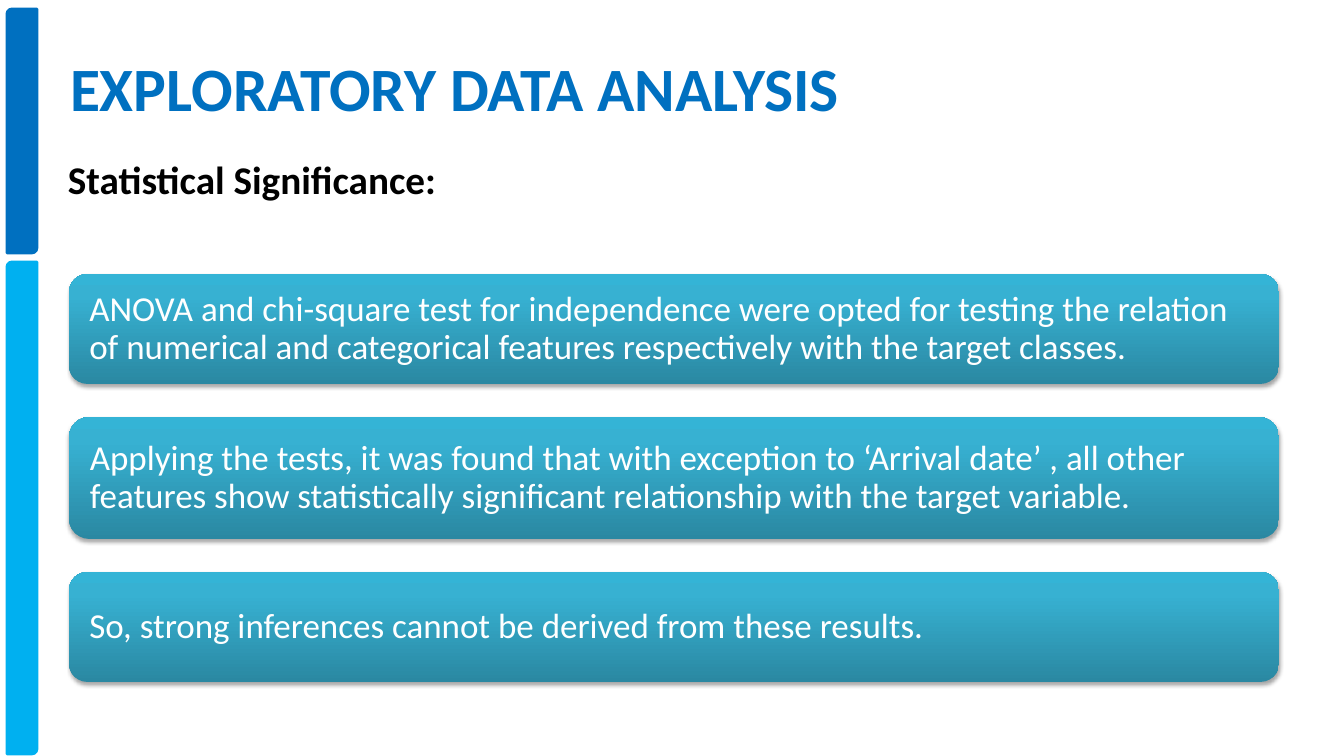
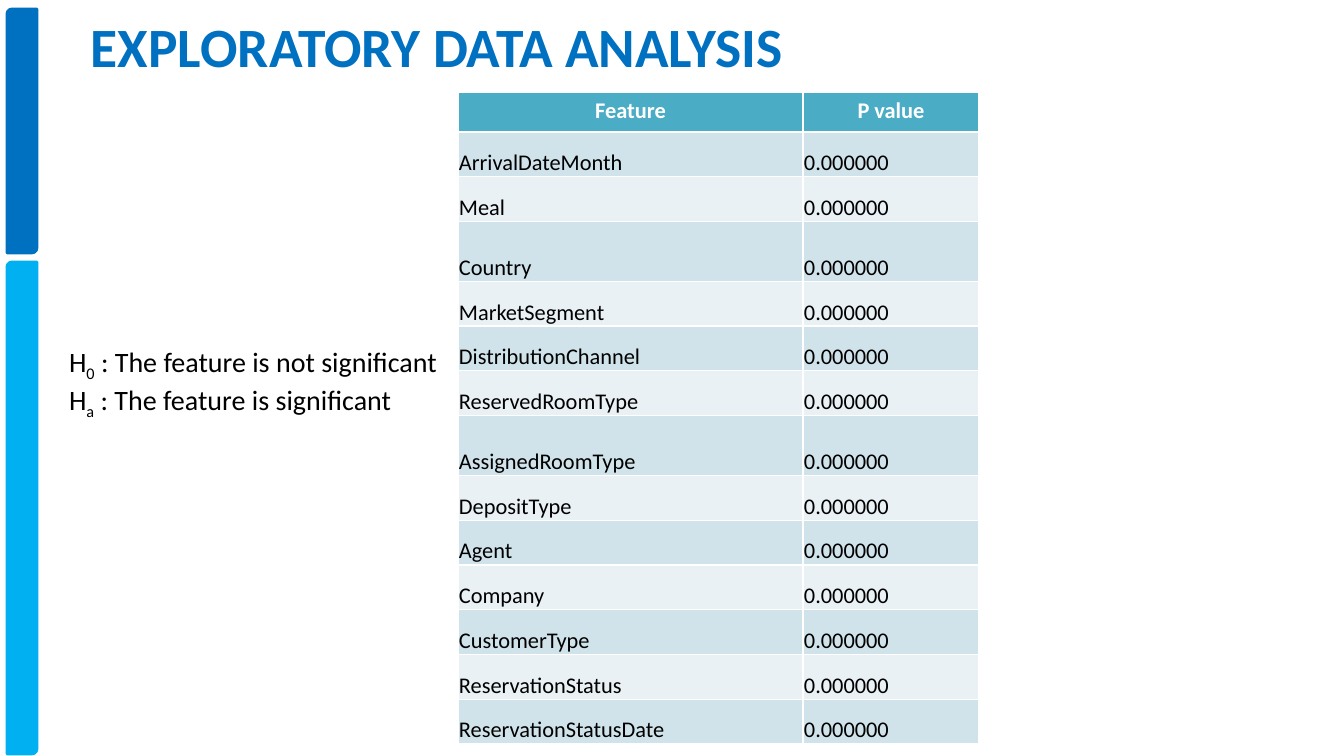
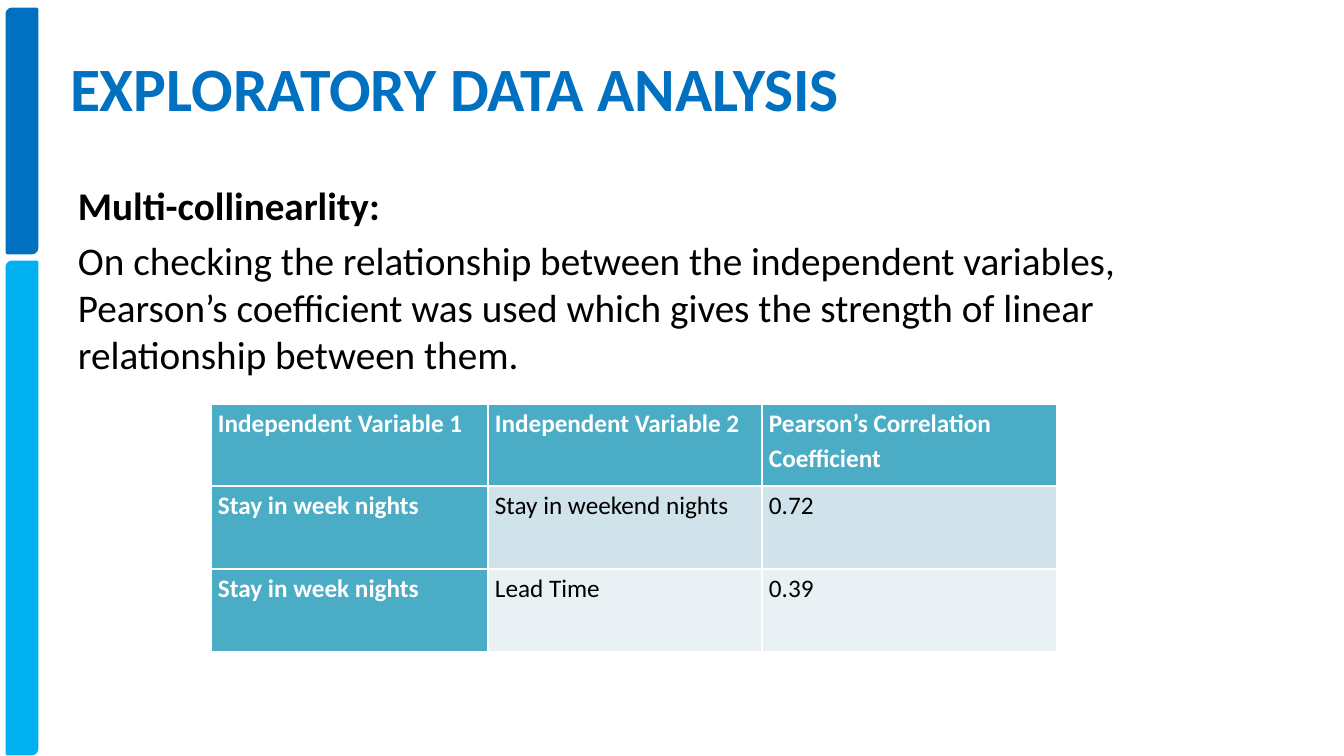
import copy
from pptx import Presentation
from pptx import util as u
from pptx.dml.color import RGBColor
from pptx.enum import shapes, text
from pptx.oxml import parse_xml
from pptx.oxml.ns import nsdecls, qn

COLORS = {
    "blue": "0070C0", "sky": "00B0F0", "black": "000000", "white": "FFFFFF",
    "header": "4BACC6", "band_odd": "D0E3EA", "band_even": "E9F1F5",
    "card_low": "2A88A2", "card_mid": "37B1D2", "card_top": "34B4D6",
}
FONT = "Calibri"
SLIDE_SIZE = (1344, 756)
TITLE = "EXPLORATORY DATA ANALYSIS"
TITLE_BOX = (60, 24, 993, 126)
SIDE_BARS = [((7, 9, 30, 244), "blue"), ((7, 262, 30, 492), "sky")]

SIGNIFICANCE_HEADING = "Statistical Significance:"
CARD_LEFT, CARD_TOP, CARD_WIDTH, CARD_GAP = 69, 274, 1210, 33
CARDS = [
    (110, "ANOVA and chi-square test for independence were opted for testing the relation of "
          "numerical and categorical features respectively with the target classes."),
    (122, "Applying the tests, it was found that with exception to ‘Arrival date’ , all other "
          "features show statistically significant relationship with the target variable."),
    (110, "So, strong inferences cannot be derived from these results."),
]
CARD_GRADIENT = [(0, "card_low"), (0.8, "card_mid"), (1, "card_top")]

HYPOTHESES = [
    ["H", "0", " : The feature is not significant"],
    ["H", "a", " : The feature is significant"],
]
FEATURES = [
    "ArrivalDateMonth", "Meal", "Country", "MarketSegment", "DistributionChannel",
    "ReservedRoomType", "AssignedRoomType", "DepositType", "Agent", "Company",
    "CustomerType", "ReservationStatus", "ReservationStatusDate",
]
TALL_FEATURES = {"Country", "AssignedRoomType"}
FEATURE_ROWS = [("Feature", "P value")] + [(feature, "0.000000") for feature in FEATURES]
FEATURE_TABLE_HEIGHT, FEATURE_HEADER_HEIGHT, TALL_HEIGHT = 652, 40, 60

COLLINEARITY_HEADING = "Multi-collinearlity:"
COLLINEARITY_TEXT = (
    "On checking the relationship between the independent variables, Pearson’s coefficient was "
    "used which gives the strength of linear relationship between them."
)
CORRELATION_ROWS = [
    ("Independent Variable 1", "Independent Variable 2", "Pearson’s Correlation Coefficient"),
    ("Stay in week nights", "Stay in weekend nights", "0.72"),
    ("Stay in week nights", "Lead Time", "0.39"),
]


def px(length):
    return u.Emu(round(length * 914400 / 100.8))


def place(box):
    return [px(length) for length in box]


def rgb(name):
    return RGBColor.from_string(COLORS[name])


def apply(target, values):
    for name, value in values.items():
        setattr(target, name, value)


def margins(left, top, right, bottom):
    sides = ("margin_left", "margin_top", "margin_right", "margin_bottom")
    return dict(zip(sides, place((left, top, right, bottom))))


def add_runs(paragraph, runs, size, color, bold=False, **paragraph_format):
    apply(paragraph, {"alignment": text.PP_ALIGN.LEFT, **paragraph_format})
    for words in runs:
        run = paragraph.add_run()
        run.text = words
        apply(run.font, {"name": FONT, "size": u.Pt(size), "bold": bold})
        run.font.color.rgb = rgb(color)


def add_text_box(slide, box, wrap=True):
    shape = slide.shapes.add_textbox(*place(box))
    apply(shape.text_frame, {"word_wrap": wrap, **margins(10, 5, 10, 5)})
    return shape


def add_title_slide(box=TITLE_BOX, size=44, bottom=5):
    slide = presentation.slides.add_slide(layout)
    title = slide.shapes.title
    apply(title, dict(zip(("left", "top", "width", "height"), place(box))))
    apply(title.text_frame, {
        "word_wrap": True, "auto_size": text.MSO_AUTO_SIZE.NONE,
        "vertical_anchor": text.MSO_ANCHOR.MIDDLE, **margins(10, 5, 10, bottom),
    })
    add_runs(title.text_frame.paragraphs[0], [TITLE], size, "blue", True)
    return slide


def add_side_bars(slide):
    for index, (box, color) in enumerate(SIDE_BARS):
        bar = slide.shapes.add_shape(shapes.MSO_SHAPE.ROUND_2_DIAG_RECTANGLE, *place(box))
        bar.shadow.inherit = False
        bar.fill.solid()
        bar.fill.fore_color.rgb = rgb(color)
        bar.line.color.rgb = rgb(color)
        bar.line.width = u.Pt(2)
        layout.shapes.element.insert(2 + index, bar.element)


def add_card(slide, top, height, words):
    card = slide.shapes.add_shape(
        shapes.MSO_SHAPE.ROUNDED_RECTANGLE, *place((CARD_LEFT, top, CARD_WIDTH, height)))
    card.line.fill.background()
    card.fill.gradient()
    card.fill.gradient_angle = 90
    stop_list = next(card.element.iter(qn("a:gsLst")))
    stop_list.append(copy.deepcopy(stop_list[-1]))
    for stop, (position, color) in zip(card.fill.gradient_stops, CARD_GRADIENT):
        stop.position = position
        stop.color.rgb = rgb(color)
    card.shadow.inherit = False
    next(card.element.iter(qn("a:effectLst"))).append(parse_xml(
        f'<a:outerShdw {nsdecls("a")} blurRad="40000" dist="23000" dir="5400000" rotWithShape="0">'
        f'<a:srgbClr val="{COLORS["black"]}"><a:alpha val="35000"/></a:srgbClr></a:outerShdw>'))
    apply(card.text_frame, {
        "word_wrap": True, "vertical_anchor": text.MSO_ANCHOR.MIDDLE, **margins(15, 15, 15, 15)})
    add_runs(card.text_frame.paragraphs[0], [words], 25, "white", line_spacing=0.9)


def add_grid(slide, left, top, widths, heights, rows, size, header_format, body_format,
             first_column=False, header_paragraph={}, **paragraph_format):
    box = (left, top, sum(widths), sum(heights))
    table = slide.shapes.add_table(len(rows), len(widths), *place(box)).table
    table.first_col = first_column
    for column, width in zip(table.columns, widths):
        column.width = px(width)
    for row, height in zip(table.rows, heights):
        row.height = px(height)
    for i, row in enumerate(rows):
        for j, words in enumerate(row):
            cell = table.cell(i, j)
            is_header = i == 0
            strong = is_header or (first_column and j == 0)
            fill = "header" if strong else ("band_odd" if i % 2 else "band_even")
            cell.fill.solid()
            cell.fill.fore_color.rgb = rgb(fill)
            apply(cell, header_format if is_header else body_format)
            extra = {**paragraph_format, **(header_paragraph if is_header else {})}
            add_runs(cell.text_frame.paragraphs[0], [words], size,
                     "white" if strong else "black", strong, **extra)


presentation = Presentation()
presentation.slide_width, presentation.slide_height = place(SLIDE_SIZE)
layout = presentation.slide_layouts[5]

significance = add_title_slide()
add_side_bars(significance)
heading = add_text_box(significance, (58, 150, 394, 89), wrap=False)
add_runs(heading.text_frame.paragraphs[0], [SIGNIFICANCE_HEADING], 28, "black", True)
card_top = CARD_TOP
for card_height, card_words in CARDS:
    add_card(significance, card_top, card_height, card_words)
    card_top += card_height + CARD_GAP

p_values = add_title_slide((81, 37, 1210, 84), 39.6, bottom=73)
hypotheses = add_text_box(p_values, (59, 339, 1129, 78))
frame = hypotheses.text_frame
for index, runs in enumerate(HYPOTHESES):
    add_runs(frame.add_paragraph() if index else frame.paragraphs[0], runs, 20, "black")
for subscript in list(hypotheses.element.iter(qn("a:rPr")))[1::3]:
    subscript.set("baseline", "-25000")
normal_height = (FEATURE_TABLE_HEIGHT - FEATURE_HEADER_HEIGHT - TALL_HEIGHT * len(TALL_FEATURES)) / (
    len(FEATURES) - len(TALL_FEATURES))
feature_heights = [FEATURE_HEADER_HEIGHT] + [
    TALL_HEIGHT if feature in TALL_FEATURES else normal_height for feature in FEATURES]
add_grid(p_values, 458, 92, (345, 176), feature_heights, FEATURE_ROWS, 16,
         margins(10, 5, 10, 5),
         {"vertical_anchor": text.MSO_ANCHOR.BOTTOM, **margins(1, 1, 1, 0)},
         header_paragraph={"alignment": text.PP_ALIGN.CENTER})

collinearity = add_title_slide()
frame = add_text_box(collinearity, (68, 176, 1210, 499)).text_frame
add_runs(frame.paragraphs[0], [COLLINEARITY_HEADING], 28, "black", True, space_after=u.Pt(5.6))
add_runs(frame.add_paragraph(), [COLLINEARITY_TEXT], 28, "black")
add_grid(collinearity, 211, 404, (277, 274, 295), (82, 83, 83), CORRELATION_ROWS, 18,
         margins(7, 0, 7, 0), margins(7, 0, 7, 0), first_column=True, line_spacing=1.15)

presentation.save("out.pptx")
